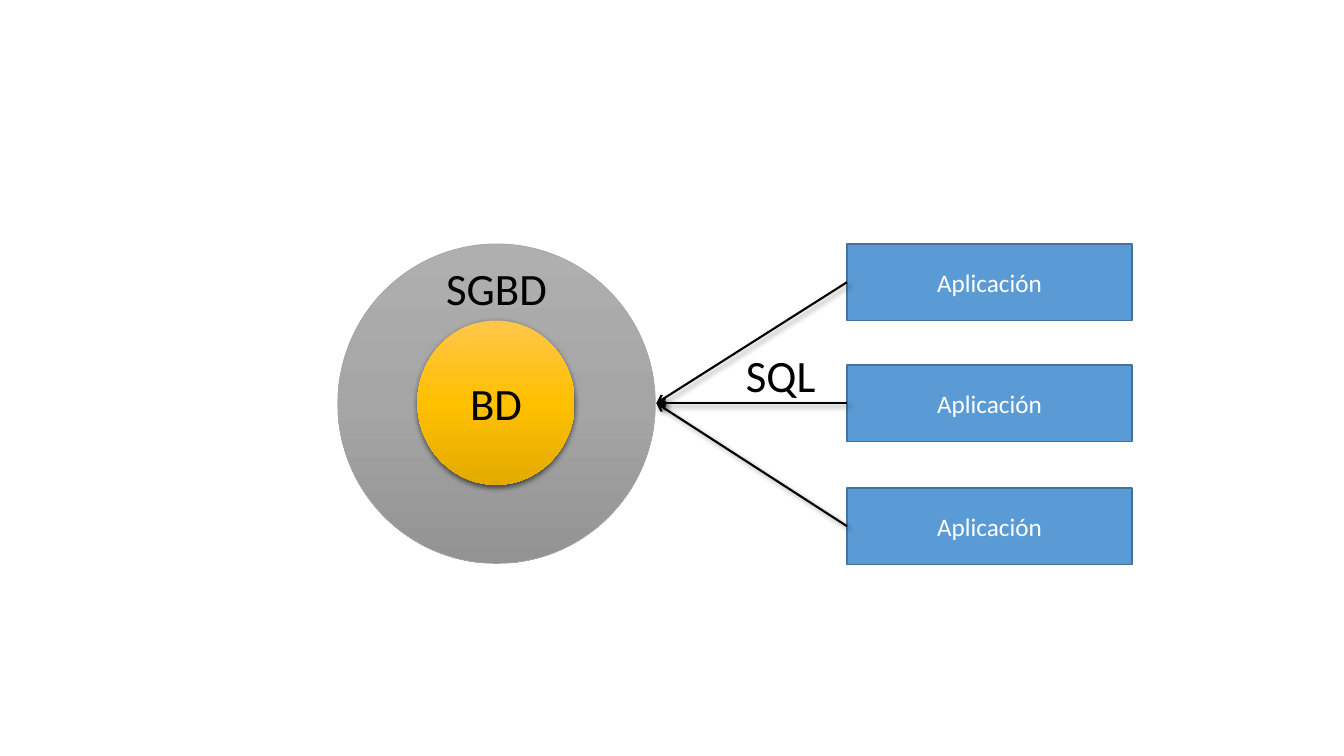
"""Build the slide on applications reaching a database through SQL."""
from lxml.etree import SubElement
from pptx import Presentation
from pptx.dml.color import RGBColor
from pptx.enum.shapes import MSO_CONNECTOR, MSO_SHAPE
from pptx.enum.text import MSO_ANCHOR, MSO_AUTO_SIZE, PP_ALIGN
from pptx.oxml.ns import qn
from pptx.util import Inches, Pt

COLORS = {"text": "000000", "app": "5B9BD5", "app_edge": "43739E",
          "app_text": "FFFFFF", "system_edge": "A5A5A5", "shadow": "000000"}
GRADIENTS = {"system": ("AFAFAF", "A5A5A5", "939393"),
             "database": ("FFC64B", "FFC000", "E3AB00")}
SHADOWS = {"database": (63, 4.5, 1.5, 90), "query": (40, 4, 3, 45)}

SYSTEM_BOX = (3.35, 2.42, 3.15, 3.17)
DATABASE_BOX = (4.14, 3.18, 1.56, 1.63)
LABELS = [("SGBD", (4.24, 2.54, 1.37, 0.64), PP_ALIGN.CENTER),
          ("SQL", (7.3, 3.4, 1.03, 0.64), PP_ALIGN.LEFT)]
APPLICATIONS = [("Aplicación", 2.42), ("Aplicación", 3.62), ("Aplicación", 4.84)]
APP_LEFT, APP_WIDTH, APP_HEIGHT = 8.4, 2.83, 0.76
QUERY_TARGET = (6.51, 4)


def color(name):
    return RGBColor.from_string(COLORS[name])


def inches(values):
    return [Inches(value) for value in values]


def write(shape, text, size, ink="text", align=PP_ALIGN.CENTER):
    paragraph = shape.text_frame.paragraphs[0]
    paragraph.alignment = align
    run = paragraph.add_run()
    run.text = text
    for key, value in {"name": "Calibri", "size": Pt(size)}.items():
        setattr(run.font, key, value)
    run.font.color.rgb = color(ink)


def outline(shape, name, width):
    shape.line.color.rgb = color(name)
    shape.line.width = Pt(width)


def add_preset(preset, box):
    shape = slide.shapes.add_shape(preset, *inches(box))
    shape.shadow.inherit = False
    shape.text_frame.vertical_anchor = MSO_ANCHOR.MIDDLE
    return shape


def add_disc(box, gradient):
    disc = add_preset(MSO_SHAPE.OVAL, box)
    disc.fill.gradient()
    disc.fill.gradient_angle = 270
    stops = disc.element.spPr.find(qn("a:gradFill")).find(qn("a:gsLst"))
    for stop in list(stops):
        stops.remove(stop)
    for index, shade in enumerate(GRADIENTS[gradient]):
        stop = SubElement(stops, qn("a:gs"), pos=str(index * 50000))
        SubElement(stop, qn("a:srgbClr"), val=shade)
    return disc


def cast_shadow(shape, name):
    alpha, blur, distance, angle = SHADOWS[name]
    properties = shape.element.spPr
    effects = properties.find(qn("a:effectLst"))
    if effects is None:
        effects = SubElement(properties, qn("a:effectLst"))
    shadow = SubElement(effects, qn("a:outerShdw"), blurRad=str(Pt(blur)),
                        dist=str(Pt(distance)), dir=str(angle * 60000),
                        rotWithShape="0")
    tint = SubElement(shadow, qn("a:srgbClr"), val=COLORS["shadow"])
    SubElement(tint, qn("a:alpha"), val=str(alpha * 1000))


def add_label(text, box, align):
    label = slide.shapes.add_textbox(*inches(box))
    frame_format = {"word_wrap": True, "auto_size": MSO_AUTO_SIZE.SHAPE_TO_FIT_TEXT}
    for key, value in frame_format.items():
        setattr(label.text_frame, key, value)
    write(label, text, 32, align=align)


def add_application(name, top):
    app = add_preset(MSO_SHAPE.RECTANGLE, (APP_LEFT, top, APP_WIDTH, APP_HEIGHT))
    app.fill.solid()
    app.fill.fore_color.rgb = color("app")
    outline(app, "app_edge", 1)
    write(app, name, 18, "app_text")


def add_query(top):
    start = (APP_LEFT, top + APP_HEIGHT / 2)
    query = slide.shapes.add_connector(MSO_CONNECTOR.STRAIGHT,
                                       *inches(start + QUERY_TARGET))
    outline(query, "text", 1.5)
    SubElement(query.element.spPr.find(qn("a:ln")), qn("a:tailEnd"), type="arrow")
    cast_shadow(query, "query")


deck = Presentation()
deck.slide_width, deck.slide_height = inches((13.33, 7.5))
slide = deck.slides.add_slide(deck.slide_layouts[6])

system = add_disc(SYSTEM_BOX, "system")
outline(system, "system_edge", 0.5)
database = add_disc(DATABASE_BOX, "database")
database.line.fill.background()
cast_shadow(database, "database")
write(database, "BD", 32)

for app_name, app_top in APPLICATIONS:
    add_application(app_name, app_top)
for app_name, app_top in APPLICATIONS:
    add_query(app_top)
for label_text, label_box, label_align in LABELS:
    add_label(label_text, label_box, label_align)

deck.save("out.pptx")
